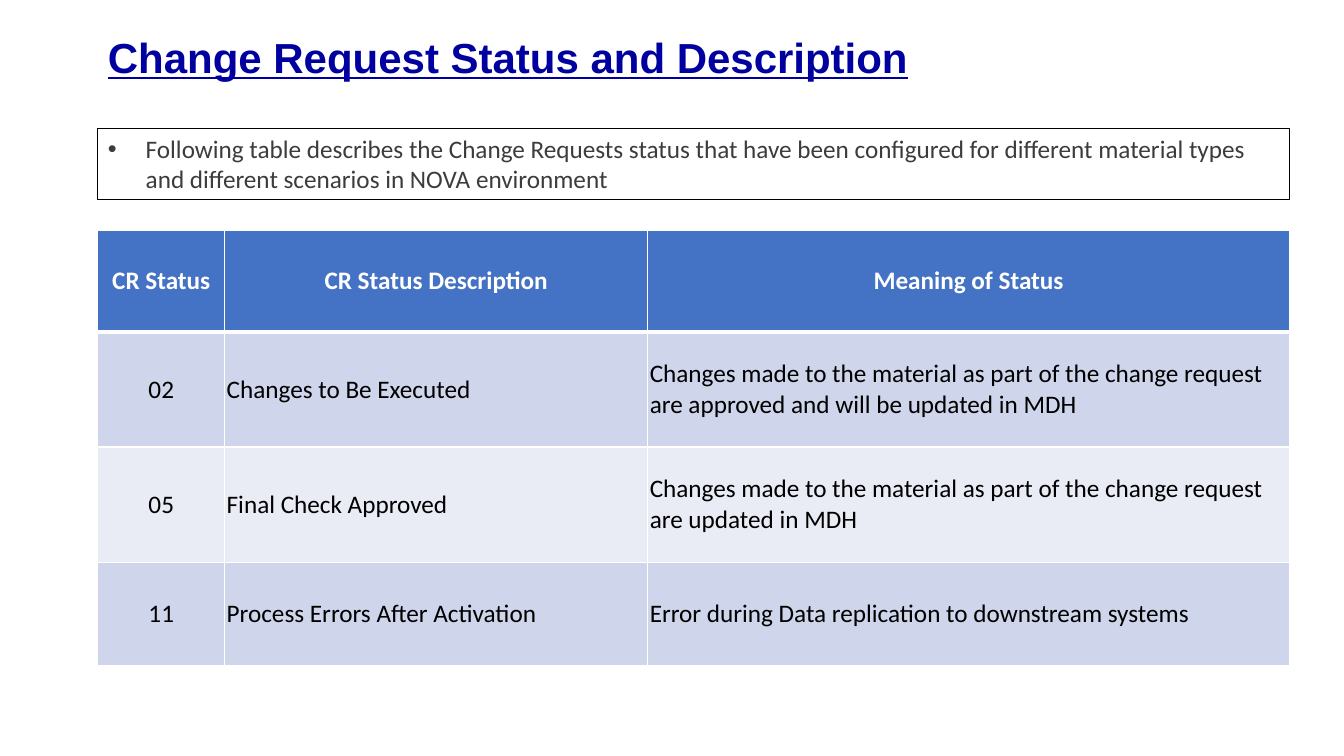
from dataclasses import dataclass

from lxml.etree import SubElement
from pptx import Presentation
from pptx.dml.color import RGBColor
from pptx.enum.text import MSO_ANCHOR, MSO_AUTO_SIZE, PP_ALIGN
from pptx.oxml.ns import qn
from pptx.util import Inches, Pt


@dataclass(frozen=True)
class Theme:
    title_font: str = "Arial"
    body_font: str = "Calibri"
    title_size: int = 30
    body_size: int = 18
    title: str = "0000A0"
    note: str = "3C3C3C"
    text: str = "000000"
    white: str = "FFFFFF"
    header: str = "4472C4"
    bands: tuple = ("CFD5EA", "E9EBF5")
    frame_width: float = 0.75
    rule_width: int = 1
    header_rule_width: int = 3


@dataclass(frozen=True)
class Box:
    left: float
    top: float
    width: float
    height: float

    def place(self, shape):
        shape.left, shape.top = Inches(self.left), Inches(self.top)
        shape.width, shape.height = Inches(self.width), Inches(self.height)


THEME = Theme()
SLIDE_WIDTH, SLIDE_HEIGHT = 13.33, 7.5
MARGIN, CONTENT_WIDTH = 0.97, 11.82
COLUMN_WIDTHS = (1.26, 4.2, 6.37)
ROW_HEIGHTS = (1, 1.14, 1.14, 1.02)
STATUS_ROWS = (
    ("CR Status", "CR Status Description", "Meaning of Status"),
    ("02", "Changes to Be Executed",
     "Changes made to the material as part of the change request "
     "are approved and will be updated in MDH"),
    ("05", "Final Check Approved",
     "Changes made to the material as part of the change request "
     "are updated in MDH"),
    ("11", "Process Errors After Activation",
     "Error during Data replication to downstream systems"),
)


def style_font(font, name, size, color, bold=False):
    font.name, font.size, font.bold = name, Pt(size), bold
    font.color.rgb = RGBColor.from_string(color)


def fill_placeholder(placeholder, box, text):
    """Place a one-paragraph placeholder at a fixed size; return its paragraph."""
    box.place(placeholder)
    frame = placeholder.text_frame
    frame.text = text
    frame.auto_size = MSO_AUTO_SIZE.NONE
    frame.vertical_anchor = MSO_ANCHOR.MIDDLE
    paragraph = frame.paragraphs[0]
    paragraph.alignment = PP_ALIGN.LEFT
    paragraph.space_before = Pt(0)
    return paragraph


def add_title(slide, box, text):
    paragraph = fill_placeholder(slide.shapes.title, box, text)
    paragraph.line_spacing = 0.9
    style_font(paragraph.font, THEME.title_font, THEME.title_size, THEME.title, True)
    paragraph.font.underline = True


def add_note(slide, box, text):
    """Put the bulleted introduction in a thin frame."""
    note = slide.placeholders[1]
    paragraph = fill_placeholder(note, box, text)
    style_font(paragraph.font, THEME.body_font, THEME.body_size, THEME.note)
    note.line.color.rgb = RGBColor.from_string(THEME.text)
    note.line.width = Pt(THEME.frame_width)


def set_borders(cell, bottom):
    """Draw white cell borders; bottom is the lower one's width in points."""
    properties = cell._tc.get_or_add_tcPr()
    widths = {"lnL": THEME.rule_width, "lnR": THEME.rule_width,
              "lnT": THEME.rule_width, "lnB": bottom}
    for side, width in widths.items():
        line = SubElement(properties, qn(f"a:{side}"), w=str(Pt(width)))
        fill = SubElement(line, qn("a:solidFill"))
        SubElement(fill, qn("a:srgbClr"), val=THEME.white)


def fill_cell(cell, text, row, column):
    is_header = row == 0
    set_borders(cell, THEME.header_rule_width if is_header else THEME.rule_width)
    cell.fill.solid()
    color = THEME.header if is_header else THEME.bands[(row - 1) % 2]
    cell.fill.fore_color.rgb = RGBColor.from_string(color)
    cell.vertical_anchor = MSO_ANCHOR.MIDDLE
    cell.margin_left = cell.margin_right = Inches(0.07 if is_header else 0.02)
    cell.margin_top = cell.margin_bottom = 0
    cell.text = text
    paragraph = cell.text_frame.paragraphs[0]
    centred = is_header or column == 0
    paragraph.alignment = PP_ALIGN.CENTER if centred else PP_ALIGN.LEFT
    style_font(paragraph.font, THEME.body_font, THEME.body_size,
               THEME.white if is_header else THEME.text, is_header)


def add_status_table(slide, box, rows):
    frame = slide.shapes.add_table(len(rows), len(rows[0]), 0, 0, 0, 0)
    box.place(frame)
    table = frame.table
    for column, width in zip(table.columns, COLUMN_WIDTHS):
        column.width = Inches(box.width * width / sum(COLUMN_WIDTHS))
    for row, height in zip(table.rows, ROW_HEIGHTS):
        row.height = Inches(box.height * height / sum(ROW_HEIGHTS))
    for row, texts in enumerate(rows):
        for column, text in enumerate(texts):
            fill_cell(table.cell(row, column), text, row, column)


def main():
    presentation = Presentation()
    presentation.slide_width = Inches(SLIDE_WIDTH)
    presentation.slide_height = Inches(SLIDE_HEIGHT)
    slide = presentation.slides.add_slide(presentation.slide_layouts[1])
    add_title(slide, Box(MARGIN, 0.28, 10.89, 0.62),
              "Change Request Status and Description")
    add_note(slide, Box(MARGIN, 1.27, CONTENT_WIDTH, 0.71),
             "Following table describes the Change Requests status that have been "
             "configured for different material types and different scenarios in "
             "NOVA environment")
    add_status_table(slide, Box(MARGIN, 2.29, CONTENT_WIDTH, 4.31), STATUS_ROWS)
    presentation.save("out.pptx")


if __name__ == "__main__":
    main()
